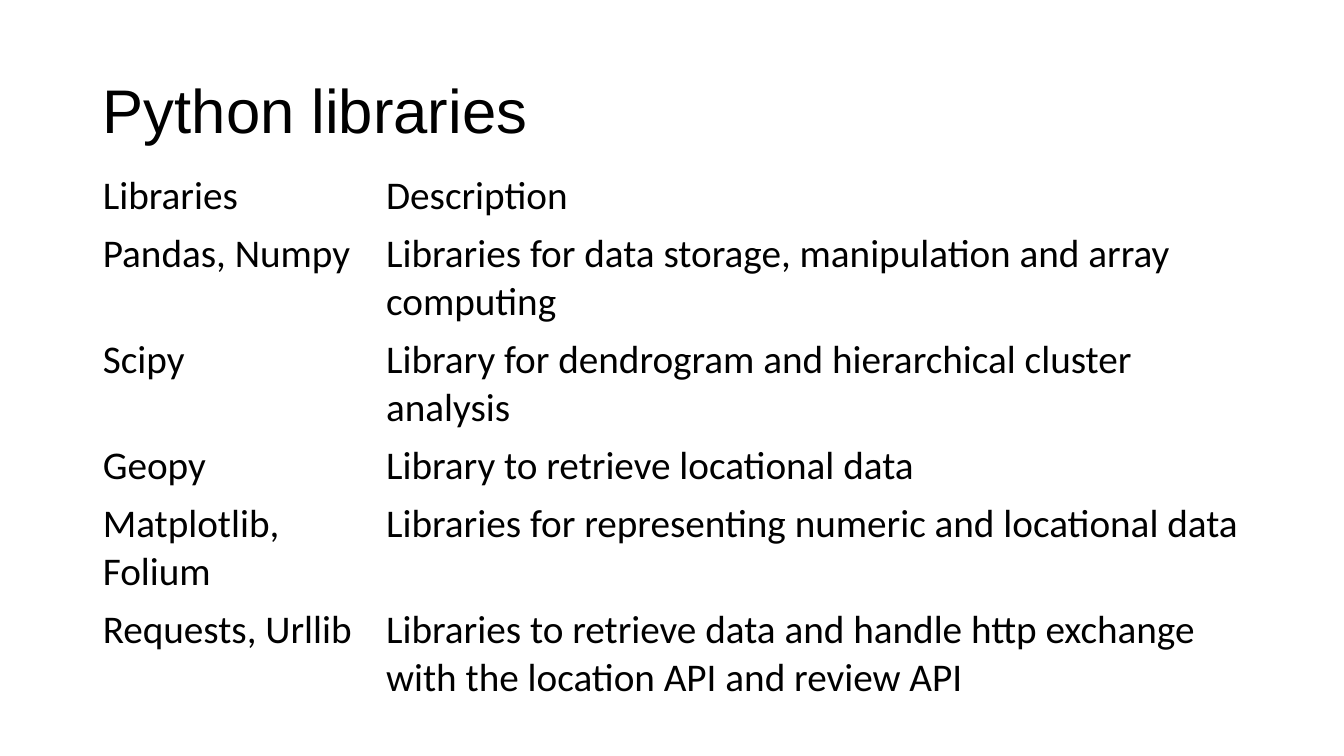
from pptx import Presentation
from pptx.dml.color import RGBColor
from pptx.enum import text as t
from pptx.util import Inches, Pt

TITLE = "Python libraries"
ROWS = [
    ("Libraries", "Description"),
    ("Pandas, Numpy", "Libraries for data storage, manipulation and array computing"),
    ("Scipy", "Library for dendrogram and hierarchical cluster analysis"),
    ("Geopy", "Library to retrieve locational data"),
    ("Matplotlib, Folium", "Libraries for representing numeric and locational data"),
    ("Requests, Urllib", "Libraries to retrieve data and handle http exchange "
     "with the location API and review API"),
]
COLS = (2.81, 8.69)
LEFT, WIDTH, ROW = 0.92, sum(COLS), 0.41
BLACK = RGBColor(0, 0, 0)


def write(frame, words, size, face, space=None):
    """Fill a text frame with one left-aligned paragraph."""
    frame.word_wrap = True
    para = frame.paragraphs[0]
    para.alignment = t.PP_ALIGN.LEFT
    para.line_spacing = space
    run = para.add_run()
    run.text = words
    font = run.font
    font.size, font.name, font.bold = Pt(size), face, False
    font.color.rgb = BLACK


def main():
    """Build the slide with its title and library table."""
    deck = Presentation()
    deck.slide_width, deck.slide_height = Inches(13.33), Inches(7.5)
    slide = deck.slides.add_slide(deck.slide_layouts[5])

    title = slide.shapes.title
    title.left, title.top = Inches(LEFT), Inches(0.4)
    title.width, title.height = Inches(WIDTH), Inches(1.45)
    title.text_frame.auto_size = t.MSO_AUTO_SIZE.NONE
    title.text_frame.vertical_anchor = t.MSO_ANCHOR.MIDDLE
    write(title.text_frame, TITLE, 44, "Arial", space=0.9)

    table = slide.shapes.add_table(
        len(ROWS), len(COLS), Inches(LEFT), Inches(1.66),
        Inches(WIDTH), Inches(ROW * len(ROWS))).table
    table.first_row = table.horz_banding = False
    for col, width in zip(table.columns, COLS):
        col.width = Inches(width)
    for r, row in enumerate(ROWS):
        for c, words in enumerate(row):
            cell = table.cell(r, c)
            cell.fill.background()
            write(cell.text_frame, words, 28, "Calibri")

    deck.save("out.pptx")


if __name__ == "__main__":
    main()
